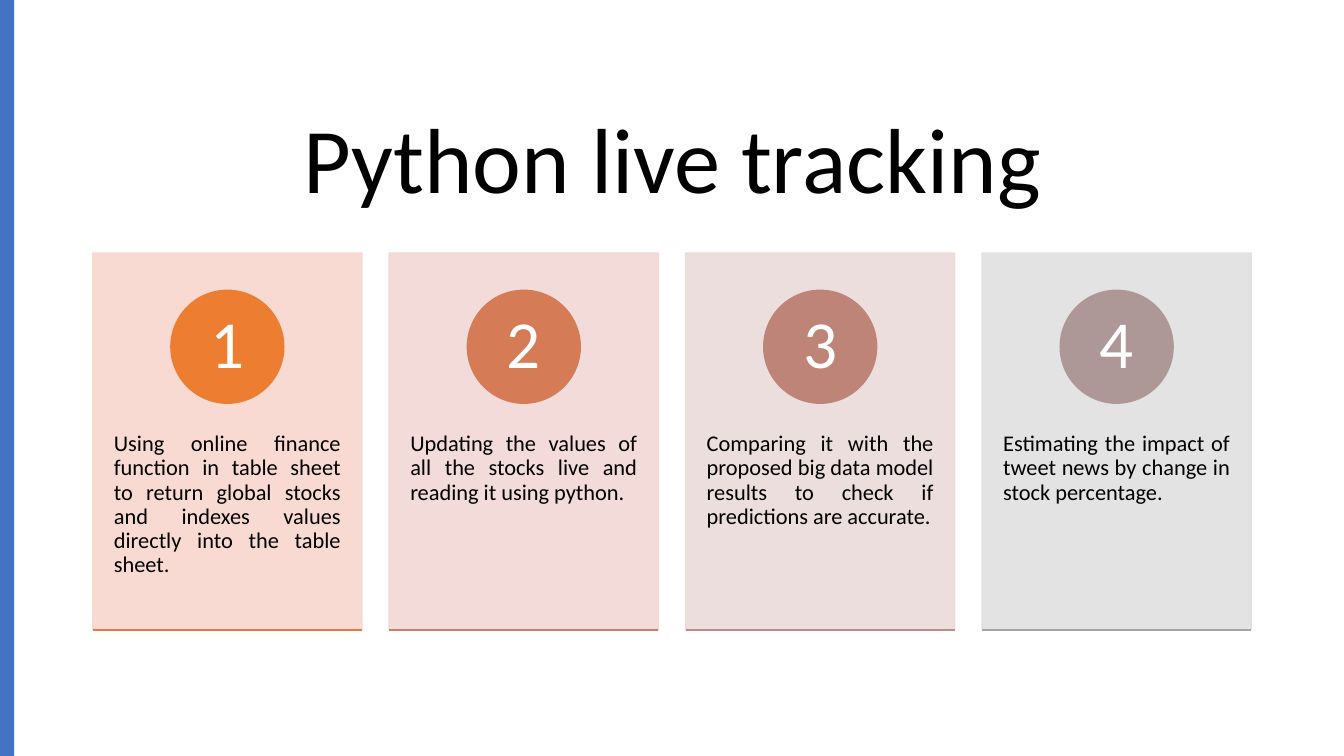
from lxml import etree
from pptx import Presentation
from pptx.dml.color import RGBColor
from pptx.enum import shapes, text
from pptx.oxml.ns import qn
from pptx.util import Inches, Pt

BLACK = RGBColor(0, 0, 0)
WHITE = RGBColor(255, 255, 255)
BLUE = RGBColor(0x44, 0x72, 0xC4)
TITLE = "Python live tracking"
STEPS = [
    ("Using online finance function in table sheet to return global stocks "
     "and indexes values directly into the table sheet.",
     "F8D7CE", "ED7D31", "E07A44"),
    ("Updating the values of all the stocks live and reading it using python.",
     "F1D8D4", "D57B56", "CA7E67"),
    ("Comparing it with the proposed big data model results to check if "
     "predictions are accurate.",
     "E9DBDA", "BF8478", "B68D88"),
    ("Estimating the impact of tweet news by change in stock percentage.",
     "E1E1E1", "AD9897", "A5A5A5"),
]
LEFT, TOP, WIDE, HIGH, STEP = 0.92, 2.51, 2.67, 3.74, 2.94
DISC = 1.12

deck = Presentation()
deck.slide_width, deck.slide_height = Inches(13.33), Inches(7.5)
slide = deck.slides.add_slide(deck.slide_layouts[6])


def add_form(kind, box, color, edge=True):
    form = slide.shapes.add_shape(kind, *map(Inches, box))
    form.shadow.inherit = False
    form.fill.solid()
    form.fill.fore_color.rgb = color
    if edge:
        form.line.color.rgb = color
        form.line.width = Pt(1)
    else:
        form.line.fill.background()
    return form


def fade(form, share):
    for color in form._element.spPr.iter(qn("a:srgbClr")):
        etree.SubElement(color, qn("a:alpha"), val=str(share * 1000))


def add_rule(x, y, color):
    rule = slide.shapes.add_connector(
        shapes.MSO_CONNECTOR.STRAIGHT,
        Inches(x), Inches(y), Inches(x + WIDE), Inches(y))
    rule.line.color.rgb = color
    rule.line.width = Pt(1)
    etree.SubElement(rule._element.spPr, qn("a:effectLst"))


def write(form, words, size, color, align, anchor, pads):
    frame = form.text_frame
    frame.word_wrap = True
    frame.vertical_anchor = anchor
    frame.margin_left = frame.margin_right = Inches(pads[0])
    frame.margin_top = frame.margin_bottom = Inches(pads[1])
    para = frame.paragraphs[0]
    para.text = words
    para.alignment = align
    para.line_spacing = 0.9
    para.font.name = "Calibri"
    para.font.size = Pt(size)
    para.font.color.rgb = color


def add_text(box, *style):
    write(slide.shapes.add_textbox(*map(Inches, box)), *style)


RECT, OVAL = shapes.MSO_SHAPE.RECTANGLE, shapes.MSO_SHAPE.OVAL
MID, HEAD = text.MSO_ANCHOR.MIDDLE, text.MSO_ANCHOR.TOP
CENTER, JUSTIFY = text.PP_ALIGN.CENTER, text.PP_ALIGN.JUSTIFY

add_text((LEFT, 0.9, 11.5, 1.45), TITLE, 66, BLACK, CENTER, MID, (0.1, 0.05))
add_form(RECT, (0, 0, 0.14, 7.5), BLUE, edge=False)

for i, (words, *tones) in enumerate(STEPS):
    pale, bold, base = map(RGBColor.from_string, tones)
    x = LEFT + i * STEP
    fade(add_form(RECT, (x, TOP, WIDE, HIGH), pale), 90)
    add_text((x, 3.93, WIDE, 2.25), words, 16, BLACK, JUSTIFY, HEAD,
             (0.21, 0.36))
    disc = add_form(OVAL, (x + (WIDE - DISC) / 2, 2.88, DISC, DISC), bold)
    write(disc, str(i + 1), 48, WHITE, CENTER, MID, (0.09, 0.01))
    add_rule(x, TOP + HIGH, base)

deck.save("out.pptx")
